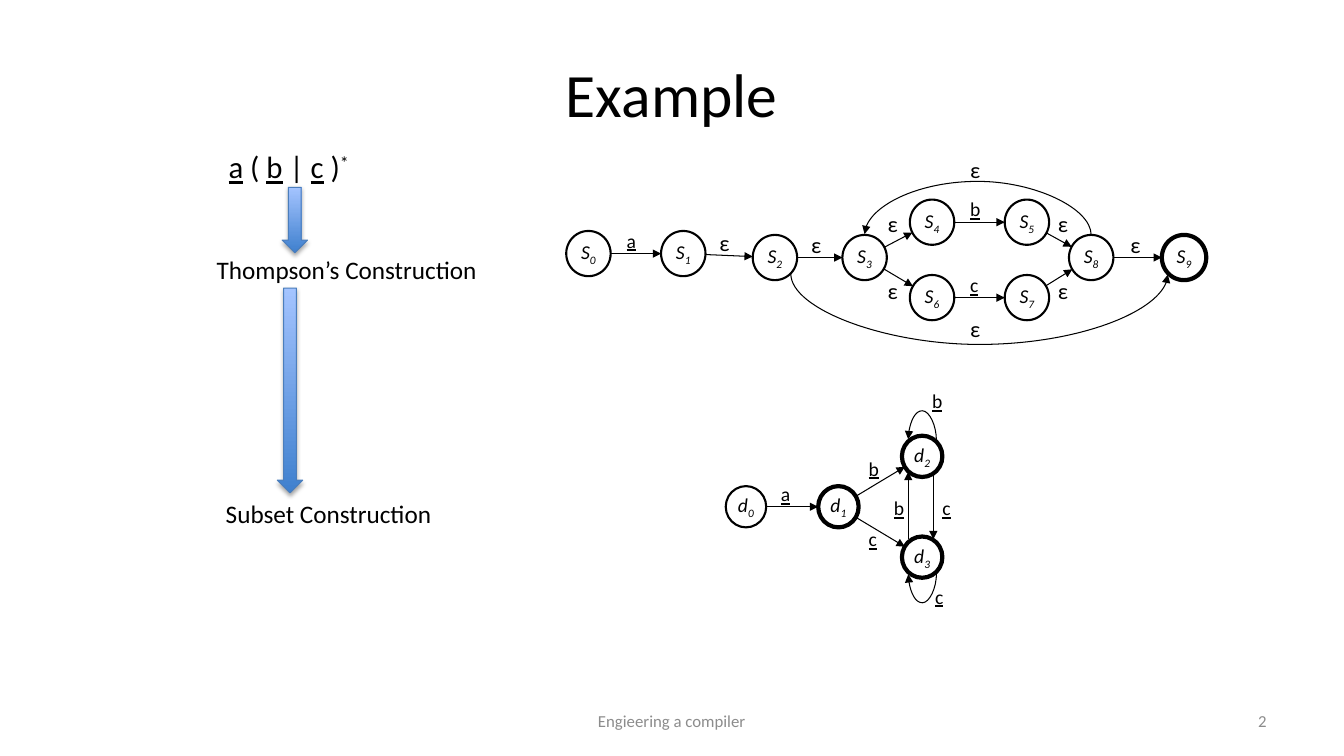
import math

import pptx
import pptx.dml.color
import pptx.enum.shapes
import pptx.enum.text
import pptx.oxml
import pptx.oxml.ns
import pptx.util
from pptx.util import Cm

COLORS = {"ink": "000000", "footer": "8C8C8C", "arrow_bottom": "3F80CE",
          "arrow_top": "A4C4FF", "arrow_line": "4B7EBC"}
FONT = "Calibri"
ALIGN = pptx.enum.text.PP_ALIGN
ANCHOR = pptx.enum.text.MSO_ANCHOR
SHAPE = pptx.enum.shapes.MSO_SHAPE
CONNECTOR = pptx.enum.shapes.MSO_CONNECTOR
qn = pptx.oxml.ns.qn
NAMESPACE = pptx.oxml.ns.nsdecls("a")


def rgb(name):
    return pptx.dml.color.RGBColor.from_string(COLORS[name])


def add_run(paragraph, text, size, color="ink", underline=False, italic=False, baseline=0):
    run = paragraph.add_run()
    run.text = text
    run.font.name = FONT
    run.font.size = pptx.util.Pt(size)
    run.font.color.rgb = rgb(color)
    if underline:
        run.font.underline = True
    if italic:
        run.font.italic = True
    if baseline:
        run.font._element.set("baseline", str(baseline * 1000))


def add_text(slide, box, runs, size, color="ink", align=ALIGN.LEFT, anchor=ANCHOR.TOP, wrap=True):
    """Place one line of text; each run is (text, options)."""
    frame = slide.shapes.add_textbox(*map(Cm, box)).text_frame
    frame.word_wrap = wrap
    frame.vertical_anchor = anchor
    paragraph = frame.paragraphs[0]
    paragraph.alignment = align
    for text, options in runs:
        add_run(paragraph, text, size, color, **options)


def add_state(slide, center, size, letter, number, final):
    """Draw an automaton state; final states get a thick outline."""
    x, y = center
    width, height = size
    shape = slide.shapes.add_shape(SHAPE.OVAL, Cm(x - width / 2), Cm(y - height / 2),
                                   Cm(width), Cm(height))
    shape.shadow.inherit = False
    shape.fill.background()
    shape.line.color.rgb = rgb("ink")
    shape.line.width = pptx.util.Pt(3 if final else 1.5)
    frame = shape.text_frame
    frame.word_wrap = False
    frame.vertical_anchor = ANCHOR.MIDDLE
    paragraph = frame.paragraphs[0]
    paragraph.alignment = ALIGN.CENTER
    add_run(paragraph, letter, 14, italic=True)
    add_run(paragraph, str(number), 14, italic=True, baseline=-25)


def add_edge(slide, start, end, kind=CONNECTOR.STRAIGHT):
    connector = slide.shapes.add_connector(kind, *map(Cm, (*start, *end)))
    connector.line.color.rgb = rgb("ink")
    connector.line.width = pptx.util.Pt(0.75)
    properties = connector._element.spPr
    properties.find(qn("a:ln")).append(
        pptx.oxml.parse_xml(f'<a:tailEnd {NAMESPACE} type="triangle"/>'))
    properties.append(pptx.oxml.parse_xml(f"<a:effectLst {NAMESPACE}/>"))
    return connector


def add_transition(slide, start, end, radius):
    """Join two states from rim to rim."""
    distance = math.dist(start, end)
    dx = (end[0] - start[0]) / distance * radius
    dy = (end[1] - start[1]) / distance * radius
    add_edge(slide, (start[0] + dx, start[1] + dy), (end[0] - dx, end[1] - dy))


def add_arc(slide, start_x, end_x, y, bulge):
    """Curve between two points at one height; a negative bulge goes up."""
    depth = 0.02
    middle, half = (start_x + end_x) / 2, abs(end_x - start_x) / 2
    connector = add_edge(slide, (middle - depth / 2, y - half),
                         (middle + depth / 2, y + half), CONNECTOR.CURVE)
    leftward = end_x < start_x
    properties = connector._element.spPr
    frame = properties.find(qn("a:xfrm"))
    frame.set("rot", str((90 if leftward else 270) * 60000))
    if leftward == (bulge < 0):
        frame.set("flipH", "1")
    adjustment = round(abs(bulge) / depth * 100000)
    properties.find(qn("a:prstGeom")).find(qn("a:avLst")).append(
        pptx.oxml.parse_xml(f'<a:gd {NAMESPACE} name="adj1" fmla="val {adjustment}"/>'))


def draw_automaton(slide, box, letter, size, states, finals, transitions, edges, arcs, labels):
    """Draw states, arrows and labels relative to the box."""
    left, top = box[:2]

    def place(x, y):
        return left + x, top + y

    centers = [place(*state) for state in states]
    for number, center in enumerate(centers):
        add_state(slide, center, size, letter, number, number in finals)
    for source, target in transitions:
        add_transition(slide, centers[source], centers[target], size[0] / 2)
    for start, end in edges:
        add_edge(slide, place(*start), place(*end))
    for start_x, end_x, y, bulge in arcs:
        add_arc(slide, left + start_x, left + end_x, top + y, bulge)
    for text, x, y in labels:
        epsilon = text == "ε"
        add_text(slide, (*place(x, y), 0.74, 0.94 if epsilon else 0.84),
                 [(text, {"underline": not epsilon})], 16 if epsilon else 14)


def draw_nfa(slide, box):
    outer, upper, middle, lower = 2.58, 1.79, 2.68, 3.69
    states = [(0.56, outer), (2.95, outer), (5.26, middle), (7.52, middle),
              (9.22, upper), (11.61, upper), (9.22, lower), (11.61, lower),
              (13.23, middle), (15.57, middle)]
    transitions = [(0, 1), (1, 2), (2, 3), (3, 4), (3, 6), (4, 5), (6, 7),
                   (5, 8), (7, 8), (8, 9)]
    arcs = [(13.23, 7.52, 2.1, -1.35), (5.66, 15.16, 3.1, 1.78)]
    labels = [("a", 1.27, 1.83), ("ε", 3.61, 1.83), ("ε", 5.92, 1.9), ("ε", 13.97, 1.9),
              ("b", 9.93, 1.04), ("c", 9.93, 2.95), ("ε", 9.93, 0), ("ε", 9.93, 4.01)]
    labels += [("ε", x, y) for x in (7.85, 12.14) for y in (1.37, 3.05)]
    draw_automaton(slide, box, "S", (1.12, 1.14), states, {9}, transitions, [], arcs, labels)


def draw_dfa(slide, box):
    states = [(0.51, 3.09), (2.84, 3.09), (4.95, 1.82), (4.95, 4.36)]
    edges = [((5.23, 2.21), (5.23, 3.91)), ((4.6, 3.91), (4.6, 2.21))]
    arcs = [(5.31, 4.6, 1.4, -0.74), (5.31, 4.6, 4.78, 0.74)]
    labels = [("a", 1.14, 2.34), ("b", 3.35, 1.7), ("c", 3.35, 3.48), ("b", 3.99, 2.69),
              ("c", 5.21, 2.69), ("b", 4.95, 0), ("c", 5.03, 4.93)]
    draw_automaton(slide, box, "d", (1.02, 1.04), states, {1, 2, 3},
                   [(0, 1), (1, 2), (1, 3)], edges, arcs, labels)


def add_down_arrow(slide, box):
    shape = slide.shapes.add_shape(SHAPE.DOWN_ARROW, *map(Cm, box))
    shape.fill.gradient()
    shape.fill.gradient_angle = 90
    for stop, color in zip(shape.fill.gradient_stops, ("arrow_bottom", "arrow_top")):
        stop.color.rgb = rgb(color)
    shape.line.color.rgb = rgb("arrow_line")
    shape.line.width = pptx.util.Pt(0.75)
    shape.shadow.inherit = False
    shape._element.spPr.find(qn("a:effectLst")).append(pptx.oxml.parse_xml(
        f'<a:outerShdw {NAMESPACE} blurRad="40000" dist="23000" dir="5400000" rotWithShape="0">'
        '<a:srgbClr val="000000"><a:alpha val="35000"/></a:srgbClr></a:outerShdw>'))


def draw_steps(slide, box):
    """Regular expression and the two constructions below it."""
    left, top, width = box[:3]
    underlined = {"underline": True}
    expression = [("a", underlined), (" ( ", {}), ("b", underlined), (" | ", {}),
                  ("c", underlined), (" )", {}), ("*", {"baseline": 30})]
    add_text(slide, (left + 0.3, top, width, 1.2), expression, 22)
    for text, x, y in (("Thompson’s Construction", 0, 2.67), ("Subset Construction", 0.23, 8.81)):
        add_text(slide, (left + x, top + y, width, 1.02), [(text, {})], 18, wrap=False)
    for x, y, height in ((1.9, 1.11, 1.65), (1.78, 3.65, 5.16)):
        add_down_arrow(slide, (left + x, top + y, 0.64, height))


def draw_frame(slide, box):
    """Title, footer and slide number."""
    left, top, width, height = box
    add_text(slide, (left, top, width, 3.18), [("Example", {})], 44,
             align=ALIGN.CENTER, anchor=ANCHOR.MIDDLE)
    footer_top = top + height - 1.02
    add_text(slide, (left + 9.88, footer_top, 10.72, 1.02), [("Engieering a compiler", {})],
             12, "footer", ALIGN.CENTER, ANCHOR.MIDDLE)
    add_text(slide, (left + width - 7.9, footer_top, 7.9, 1.02), [("2", {})],
             12, "footer", ALIGN.RIGHT, ANCHOR.MIDDLE)


def main():
    presentation = pptx.Presentation()
    presentation.slide_width, presentation.slide_height = Cm(33.87), Cm(19.05)
    slide = presentation.slides.add_slide(presentation.slide_layouts[6])
    draw_frame(slide, (1.69, 0.76, 30.48, 17.91))
    draw_steps(slide, (5.21, 3.61, 7.16, 9.83))
    draw_nfa(slide, (14.27, 3.81, 16.13, 4.95))
    draw_dfa(slide, (18.29, 9.68, 5.7, 5.77))
    presentation.save("out.pptx")


if __name__ == "__main__":
    main()
